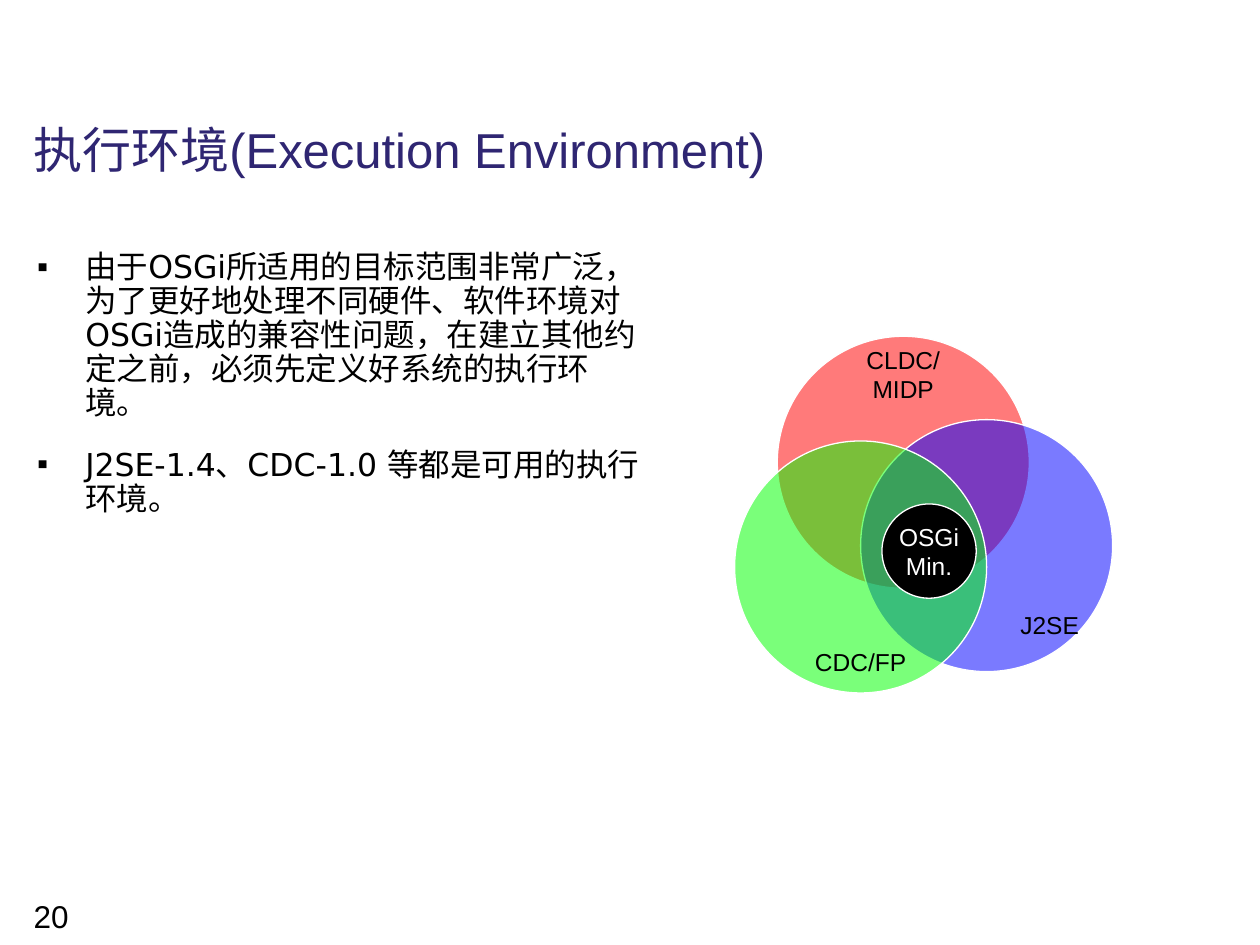
import pptx
import pptx.util
import pptx.dml.color
import pptx.enum.shapes
import pptx.enum.text
from dataclasses import dataclass
from lxml import etree

Cm = pptx.util.Cm
Pt = pptx.util.Pt
ALIGN = pptx.enum.text.PP_ALIGN
ANCHOR = pptx.enum.text.MSO_ANCHOR


@dataclass(frozen=True)
class Theme:
    sans: str = "Arial"
    body: str = "DejaVu Sans"
    title: str = "2F2672"
    black: str = "000000"
    white: str = "FFFFFF"
    red: str = "FF0000"
    blue: str = "0000FF"
    green: str = "00FF00"
    head: int = 28
    text: int = 18
    label: int = 14
    alpha: int = 52


THEME = Theme()


def rgb(code):
    return pptx.dml.color.RGBColor.from_string(code)


def add_tag(parent, name, **attrs):
    """Append a DrawingML element to parent."""
    tag = pptx.oxml.ns.qn("a:" + name)
    return etree.SubElement(parent, tag, attrs)


def write(frame, lines, size, color, font=THEME.sans, align=ALIGN.LEFT,
          tight=False, bullet=None):
    """Fill a text frame, one paragraph for each line."""
    for i, line in enumerate(lines):
        para = frame.add_paragraph() if i else frame.paragraphs[0]
        para.text = line
        para.alignment = align
        if tight:
            para.line_spacing = 0.9
        if bullet:
            para.space_after = Pt(4.5)
            if i:
                para.space_before = Pt(11.2)
            props = para._p.get_or_add_pPr()
            props.set("marL", str(Cm(0.97)))
            props.set("indent", str(-Cm(0.97)))
            props.set("hangingPunct", "0")
            add_tag(add_tag(props, "buClr"), "srgbClr", val=color)
            add_tag(props, "buFont", typeface=THEME.sans)
            add_tag(props, "buChar", char=bullet)
        para.font.name = font
        para.font.size = Pt(size)
        para.font.color.rgb = rgb(color)


def add_text(slide, box, lines, size, color, **style):
    """Add a wrapping text box; box is left, top, width, height in cm."""
    frame = slide.shapes.add_textbox(*map(Cm, box)).text_frame
    frame.word_wrap = True
    write(frame, lines, size, color, **style)
    return frame


def add_label(slide, x, y, lines):
    """Centre a small label on a point."""
    wide, high = 3, 1.5
    frame = add_text(slide, (x - wide / 2, y - high / 2, wide, high), lines,
                     THEME.label, THEME.black, align=ALIGN.CENTER)
    frame.vertical_anchor = ANCHOR.MIDDLE


def add_disc(slide, left, top, size, color, alpha=None):
    """Add a white-edged circle, see-through if alpha is given."""
    disc = slide.shapes.add_shape(pptx.enum.shapes.MSO_SHAPE.OVAL,
                                  Cm(left), Cm(top), Cm(size), Cm(size))
    disc.shadow.inherit = False
    disc.fill.solid()
    disc.fill.fore_color.rgb = rgb(color)
    if alpha:
        fill = disc._element.spPr.find(".//" + pptx.oxml.ns.qn("a:srgbClr"))
        add_tag(fill, "alpha", val=str(alpha * 1000))
    disc.line.color.rgb = rgb(THEME.white)
    disc.line.width = Pt(0.75)
    return disc


def main():
    deck = pptx.Presentation()
    deck.slide_width, deck.slide_height = Cm(25.4), Cm(19.05)
    slide = deck.slides.add_slide(deck.slide_layouts[6])

    # Page number and title
    add_text(slide, (0.43, 17.96, 2.79, 0.89), ["20"],
             THEME.text, THEME.black)
    add_text(slide, (0.43, 2.41, 22.91, 1.4),
             ["执行环境(Execution Environment)"],
             THEME.head, THEME.title, tight=True)

    # Bullet list
    points = [
        "由于OSGi所适用的目标范围非常广泛，为了更好地处理不同硬件、软件环境对OSGi造成的"
        "兼容性问题，在建立其他约定之前，必须先定义好系统的执行环境。",
        "J2SE-1.4、CDC-1.0 等都是可用的执行环境。",
    ]
    add_text(slide, (0.5, 4.94, 12.7, 12.52), points, THEME.text,
             THEME.black, font=THEME.body, tight=True, bullet="▪")

    # Overlapping circles
    for left, top, color in ((15.67, 6.78, THEME.red),
                             (17.35, 8.46, THEME.blue),
                             (14.81, 8.89, THEME.green)):
        add_disc(slide, left, top, 5.08, color, THEME.alpha)

    # Shared core
    core = add_disc(slide, 17.78, 10.16, 1.9, THEME.black).text_frame
    core.word_wrap = False
    core.vertical_anchor = ANCHOR.MIDDLE
    write(core, ["OSGi", "Min."], THEME.label, THEME.white,
          align=ALIGN.CENTER)

    # Circle labels
    for x, y, lines in ((18.21, 7.54, ["CLDC/", "MIDP"]),
                        (21.16, 12.6, ["J2SE"]),
                        (17.35, 13.34, ["CDC/FP"])):
        add_label(slide, x, y, lines)

    deck.save("out.pptx")


if __name__ == "__main__":
    main()
